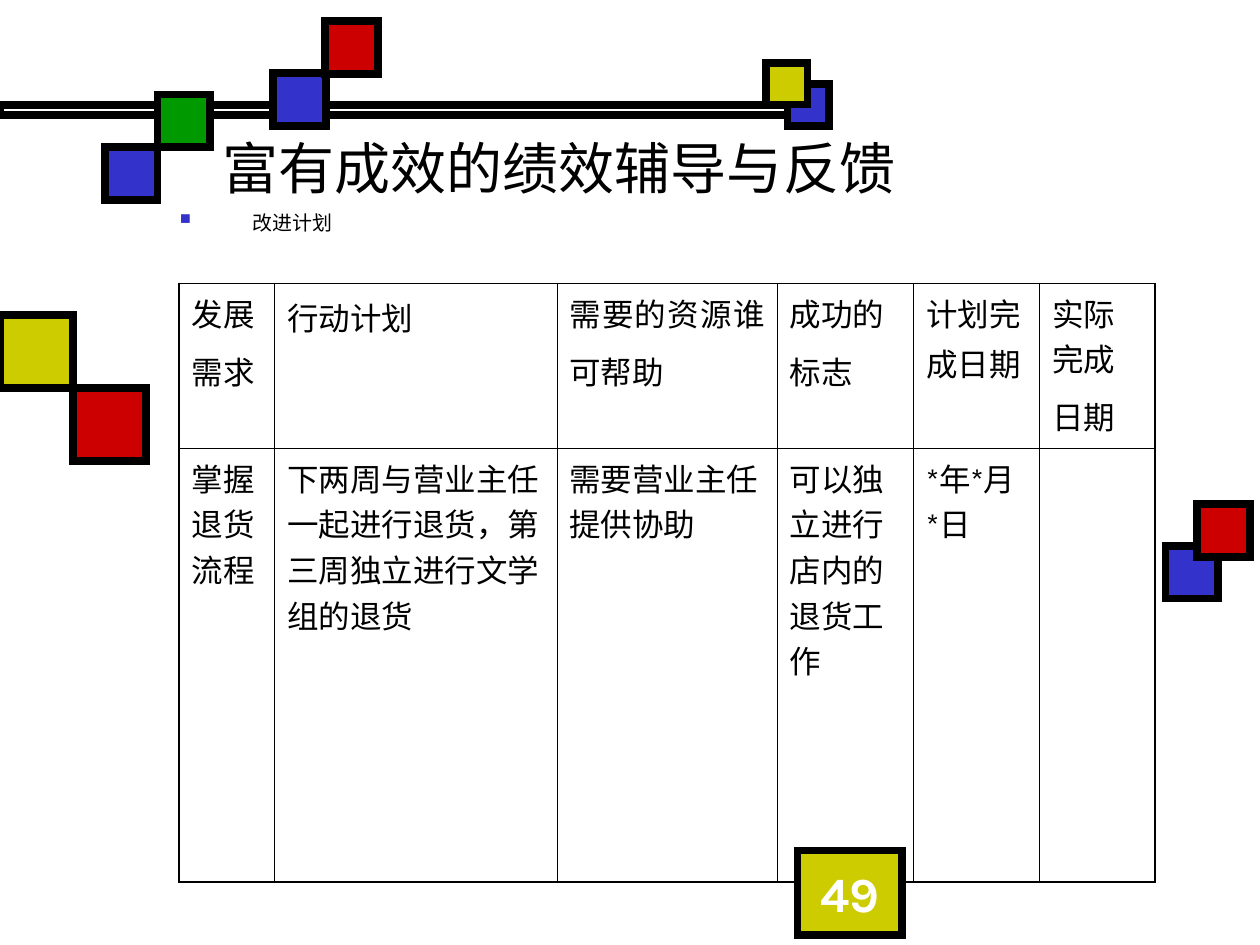
"""Build the slide on performance coaching with its improvement plan table."""
from lxml import etree
from pptx import Presentation
from pptx.dml.color import RGBColor
from pptx.enum.shapes import MSO_SHAPE
from pptx.enum.text import MSO_ANCHOR, PP_ALIGN
from pptx.oxml.ns import qn
from pptx.util import Inches, Pt

COLORS = {
    "black": "000000", "white": "FFFFFF", "blue": "3333CC",
    "yellow": "CCCC00", "red": "CC0000", "green": "009900",
}
BODY_FONT, CJK_FONT, SERIF_FONT = "Karla", "Noto Sans CJK SC", "Times New Roman"

RULE = (0, 0.83, 6.42, 0.08)
SQUARES = [
    (6.25, 0.67, 0.33, "blue"), (6.08, 0.5, 0.33, "yellow"),
    (9.25, 4.33, 0.42, "blue"), (9.5, 4, 0.42, "red"),
    (0, 2.5, 0.58, "yellow"), (0.58, 3.08, 0.58, "red"),
    (2.17, 0.58, 0.42, "blue"), (0.83, 1.17, 0.42, "blue"),
    (1.25, 0.75, 0.42, "green"), (2.58, 0.17, 0.42, "red"),
]
TITLE = "富有成效的绩效辅导与反馈"
SUBTITLE = "改进计划"
PAGE_NUMBER = "49"

HEADERS = [
    ([("发展需求", CJK_FONT)], 24),
    ([("行动计划", CJK_FONT)], 20),
    ([("需要的资源", SERIF_FONT), ("谁可帮助", CJK_FONT)], 24),
    ([("成功的标志", CJK_FONT)], 24),
    ([("计划完成日期", CJK_FONT)], 20),
    ([("实际完成日期", CJK_FONT)], 24),
]
PLAN = [
    "掌握退货流程",
    "下两周与营业主任一起进行退货，第三周独立进行文学组的退货",
    "需要营业主任提供协助",
    "可以独立进行店内的退货工作",
    "*年*月*日",
    "",
]
COLUMN_WIDTHS = [0.76, 2.24, 1.75, 1.08, 1, 0.92]
ROW_HEIGHTS = [1.31, 3.44]
JUSTIFIED_COLUMN = 2
OUTER_BORDER, INNER_BORDER = 1.08, 0.45


def rgb(name):
    return RGBColor.from_string(COLORS[name])


def apply_format(target, **values):
    for attribute, value in values.items():
        setattr(target, attribute, value)


def add_text(paragraph, text, size, font=BODY_FONT, color="black", bold=None):
    run = paragraph.add_run()
    run.text = text
    run.font.color.rgb = rgb(color)
    apply_format(run.font, size=Pt(size), name=font, bold=bold)
    etree.SubElement(run.font._element, qn("a:ea"), typeface=CJK_FONT)


def add_box(slide, left, top, width, height, color=None):
    box = slide.shapes.add_shape(
        MSO_SHAPE.RECTANGLE, *map(Inches, (left, top, width, height)))
    box.shadow.inherit = False
    if color:
        box.fill.solid()
        box.fill.fore_color.rgb = rgb(color)
    else:
        box.fill.background()
    box.line.color.rgb = rgb("black")
    box.line.width = Pt(4.5)
    outline = box._element.spPr.find(qn("a:ln"))
    etree.SubElement(outline, qn("a:miter"), lim="800000")
    return box


def add_text_box(slide, *place):
    frame = slide.shapes.add_textbox(*map(Inches, place)).text_frame
    frame.word_wrap = True
    return frame


def add_bullet(paragraph):
    properties = paragraph._p.get_or_add_pPr()
    indents = {"marL": Inches(0.58), "indent": -Inches(0.58)}
    for name, value in indents.items():
        properties.set(name, str(int(value)))
    color = etree.SubElement(properties, qn("a:buClr"))
    etree.SubElement(color, qn("a:srgbClr"), val=COLORS["blue"])
    etree.SubElement(properties, qn("a:buSzPct"), val="75000")
    etree.SubElement(properties, qn("a:buChar"), char="■")


def set_borders(cell, row, column):
    outer = {
        "L": column == 0, "R": column == len(COLUMN_WIDTHS) - 1,
        "T": row == 0, "B": row == len(ROW_HEIGHTS) - 1,
    }
    properties = cell._tc.get_or_add_tcPr()
    for side, is_outer in outer.items():
        width = Pt(OUTER_BORDER if is_outer else INNER_BORDER)
        line = etree.SubElement(properties, qn(f"a:ln{side}"), w=str(int(width)))
        fill = etree.SubElement(line, qn("a:solidFill"))
        etree.SubElement(fill, qn("a:srgbClr"), val=COLORS["black"])


def add_plan_table(slide):
    table = slide.shapes.add_table(
        len(ROW_HEIGHTS), len(COLUMN_WIDTHS), Inches(1.42), Inches(2.25),
        Inches(sum(COLUMN_WIDTHS)), Inches(sum(ROW_HEIGHTS))).table
    apply_format(table, first_row=False, horz_banding=False)
    for column, width in zip(table.columns, COLUMN_WIDTHS):
        column.width = Inches(width)
    for row, height in zip(table.rows, ROW_HEIGHTS):
        row.height = Inches(height)
    for row in range(len(ROW_HEIGHTS)):
        for column in range(len(COLUMN_WIDTHS)):
            cell = table.cell(row, column)
            set_borders(cell, row, column)
            cell.fill.background()
    for column, (parts, space_size) in enumerate(HEADERS):
        header = table.cell(0, column).text_frame.paragraphs[0]
        if column == JUSTIFIED_COLUMN:
            header.alignment = PP_ALIGN.JUSTIFY
        for text, font in parts:
            add_text(header, text, 18, font)
        add_text(header, " ", space_size)
    for column, text in enumerate(PLAN):
        if text:
            add_text(table.cell(1, column).text_frame.paragraphs[0], text, 18)


def main():
    presentation = Presentation()
    apply_format(presentation, slide_width=Inches(10), slide_height=Inches(7.5))
    slide = presentation.slides.add_slide(presentation.slide_layouts[6])

    add_box(slide, *RULE)
    for left, top, side, color in SQUARES:
        add_box(slide, left, top, side, side, color)

    title = add_text_box(slide, 1.67, 1.08, 7.75, 0.5)
    title.vertical_anchor = MSO_ANCHOR.MIDDLE
    add_text(title.paragraphs[0], TITLE, 32)

    subtitle = add_text_box(slide, 1.33, 1.67, 2.5, 0.25).paragraphs[0]
    add_bullet(subtitle)
    subtitle.line_spacing = 0.7
    add_text(subtitle, SUBTITLE, 11.4)

    add_plan_table(slide)

    badge = add_box(slide, 6.33, 6.75, 0.83, 0.67, "yellow").text_frame
    badge.vertical_anchor = MSO_ANCHOR.MIDDLE
    badge.paragraphs[0].alignment = PP_ALIGN.CENTER
    add_text(badge.paragraphs[0], PAGE_NUMBER, 28, color="white", bold=True)

    presentation.save("out.pptx")


if __name__ == "__main__":
    main()
